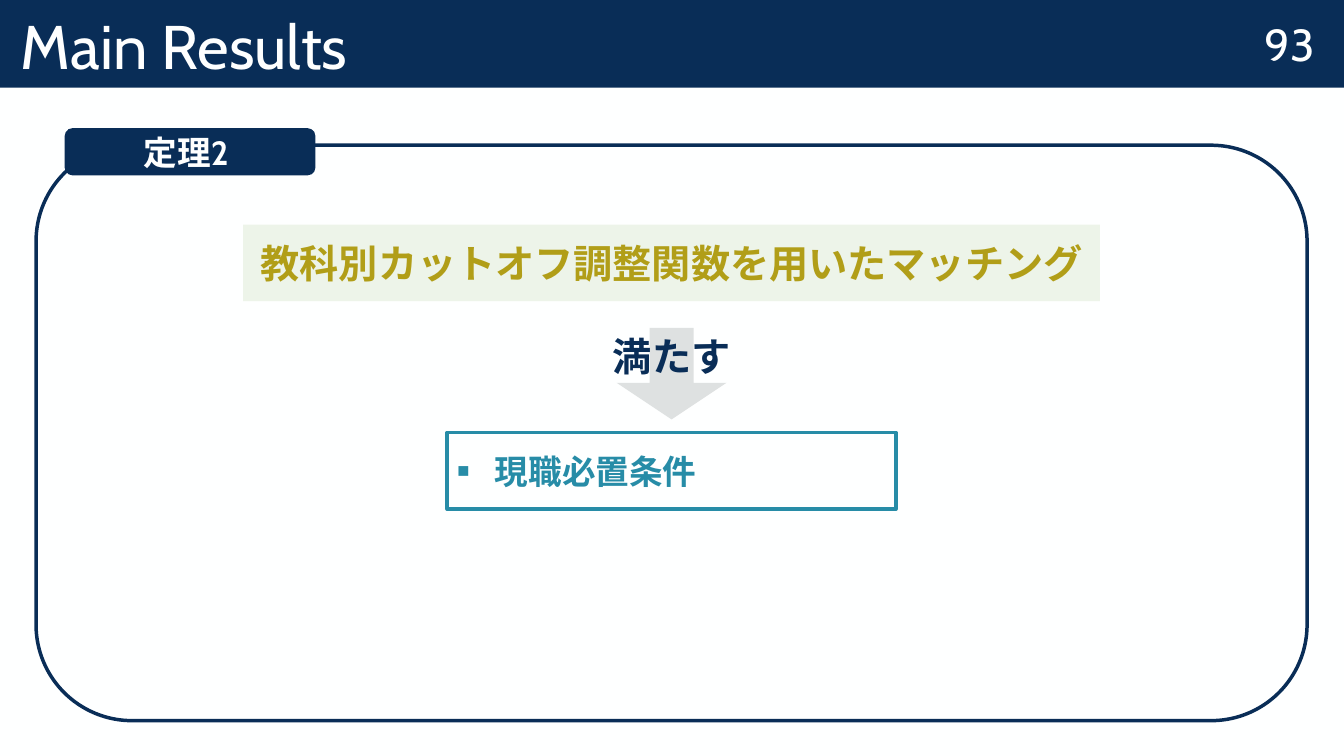
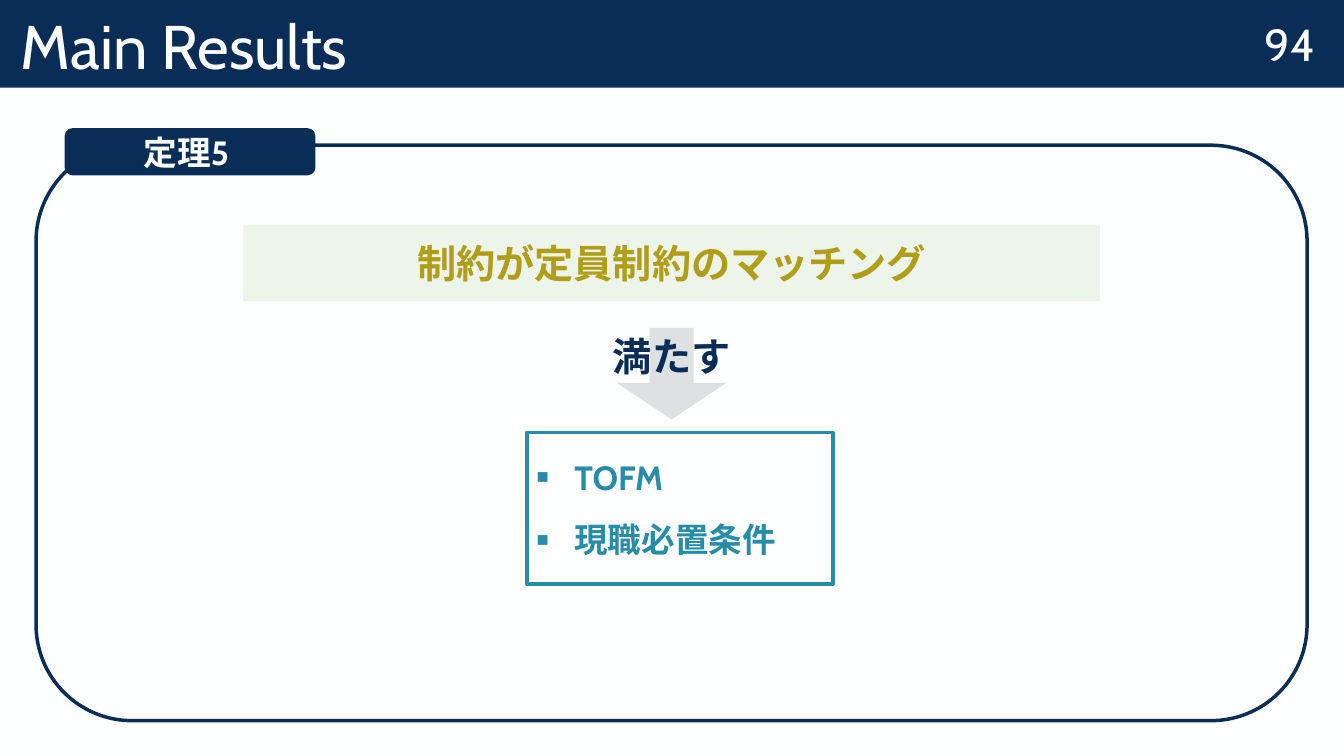
from lxml.etree import SubElement
from pptx import Presentation
from pptx.dml.color import RGBColor
from pptx.enum.lang import MSO_LANGUAGE_ID
from pptx.enum.shapes import MSO_SHAPE
from pptx.enum.text import MSO_ANCHOR, PP_ALIGN
from pptx.oxml.ns import qn
from pptx.util import Cm, Pt

FONT = "Cabin"
NAVY = RGBColor(0x09, 0x2D, 0x57)
PAPER = RGBColor(0xFE, 0xFF, 0xFF)
GREEN = RGBColor(0x68, 0x9E, 0x38)
OLIVE = RGBColor(0xB1, 0x9E, 0x18)
TEAL = RGBColor(0x27, 0x8C, 0xA7)
GRAY = RGBColor(0xDE, 0xE1, 0xE1)

SLIDE_WIDTH, SLIDE_HEIGHT = Cm(33.87), Cm(19.05)
HEADER_HEIGHT = Cm(2.21)
FRAME_BOX = (Cm(0.91), Cm(3.66), Cm(32.03), Cm(14.5))

THEOREMS = [
    # page, tag, subject, conditions, list width, list shift from the centre
    ("93", "定理2 ", "教科別カットオフ調整関数を用いたマッチング",
     ["現職必置条件"], Cm(11.3), Cm(0)),
    ("94", "定理5 ", "制約が定員制約のマッチング",
     ["TOFM", "現職必置条件"], Cm(7.72), Cm(0.21)),
]


def add_box(slide, kind, box, fill=None, line=None, line_width=0):
    shape = slide.shapes.add_shape(kind, *box)
    shape.shadow.inherit = False
    if fill is None:
        shape.fill.background()
    else:
        shape.fill.solid()
        shape.fill.fore_color.rgb = fill
    if line is None:
        shape.line.fill.background()
    else:
        shape.line.color.rgb = line
        shape.line.width = Pt(line_width)
    return shape


def write(shape, lines, size, color, bold=False, align=PP_ALIGN.CENTER,
          anchor=MSO_ANCHOR.MIDDLE, space_before=0):
    """Fill the shape with one paragraph per line and return the paragraphs."""
    frame = shape.text_frame
    frame.word_wrap = True
    frame.vertical_anchor = anchor
    for index, line in enumerate(lines):
        paragraph = frame.add_paragraph() if index else frame.paragraphs[0]
        paragraph.alignment = align
        paragraph.space_before = Pt(space_before)
        run = paragraph.add_run()
        run.text = line
        font = run.font
        font.name, font.size, font.bold = FONT, Pt(size), bold
        font.color.rgb = color
        font.language_id = MSO_LANGUAGE_ID.JAPANESE
    return frame.paragraphs


def set_opacity(shape, percent):
    color = shape.fill._xPr.find(qn("a:solidFill"))[0]
    SubElement(color, qn("a:alpha"), val=str(percent * 1000))


def add_bullet(paragraph):
    properties = paragraph._p.get_or_add_pPr()
    indent = Cm(0.95)
    properties.set("marL", str(indent))
    properties.set("indent", str(-indent))
    SubElement(properties, qn("a:buSzPct"), val="60000")
    SubElement(properties, qn("a:buFont"), typeface="Arial")
    SubElement(properties, qn("a:buChar"), char="■")


def add_header(slide, title, page):
    band = add_box(slide, MSO_SHAPE.RECTANGLE,
                   (0, 0, SLIDE_WIDTH, HEADER_HEIGHT), NAVY)
    band.text_frame.margin_left = Cm(0.53)
    paragraphs = write(band, [title], 44, PAPER, align=PP_ALIGN.LEFT,
                       anchor=MSO_ANCHOR.BOTTOM)
    paragraphs[0].line_spacing = 0.9
    number_width = Cm(2.64)
    number = slide.shapes.add_textbox(SLIDE_WIDTH - number_width - Cm(0.04), 0,
                                      number_width, HEADER_HEIGHT)
    write(number, [page], 32, PAPER)


def add_theorem(slide, box, tag, subject, conditions, list_width, list_shift):
    """Draw a tagged frame: the subject, an arrow, and what it satisfies."""
    left, top, width, _ = box

    def centered(offset, part_width, part_height):
        return (left + (width - part_width) // 2, top + offset,
                part_width, part_height)

    add_box(slide, MSO_SHAPE.ROUNDED_RECTANGLE, box, line=NAVY, line_width=2.5)
    label = add_box(slide, MSO_SHAPE.ROUNDED_RECTANGLE,
                    (left + Cm(0.72), top - Cm(0.43), Cm(6.32), Cm(1.19)), NAVY)
    write(label, [tag], 24, PAPER, bold=True)

    subject_band = add_box(slide, MSO_SHAPE.RECTANGLE,
                           centered(Cm(2), Cm(21.59), Cm(1.93)), GREEN)
    set_opacity(subject_band, 11)
    write(subject_band, [subject], 28, OLIVE, bold=True, space_before=6)

    arrow = add_box(slide, MSO_SHAPE.DOWN_ARROW,
                    centered(Cm(4.6), Cm(2.77), Cm(2.31)), GRAY)
    arrow.adjustments[0] = arrow.adjustments[1] = 0.4
    verb = slide.shapes.add_textbox(*centered(Cm(4.6), Cm(8.15), Cm(1.45)))
    write(verb, ["満たす"], 28, NAVY, bold=True, anchor=MSO_ANCHOR.TOP)

    list_height = Cm(1.93) + Cm(1.88) * (len(conditions) - 1)
    condition_list = add_box(slide, MSO_SHAPE.RECTANGLE,
                             centered(Cm(7.24), list_width, list_height),
                             line=TEAL, line_width=2.75)
    condition_list.left += list_shift
    for paragraph in write(condition_list, conditions, 24, TEAL, bold=True,
                           align=PP_ALIGN.LEFT, space_before=16):
        add_bullet(paragraph)


def main():
    presentation = Presentation()
    presentation.slide_width, presentation.slide_height = SLIDE_WIDTH, SLIDE_HEIGHT
    background = presentation.slide_master.background.fill
    background.solid()
    background.fore_color.rgb = PAPER
    for page, *theorem in THEOREMS:
        slide = presentation.slides.add_slide(presentation.slide_layouts[6])
        add_header(slide, "Main Results", page)
        add_theorem(slide, FRAME_BOX, *theorem)
    presentation.save("out.pptx")


if __name__ == "__main__":
    main()
